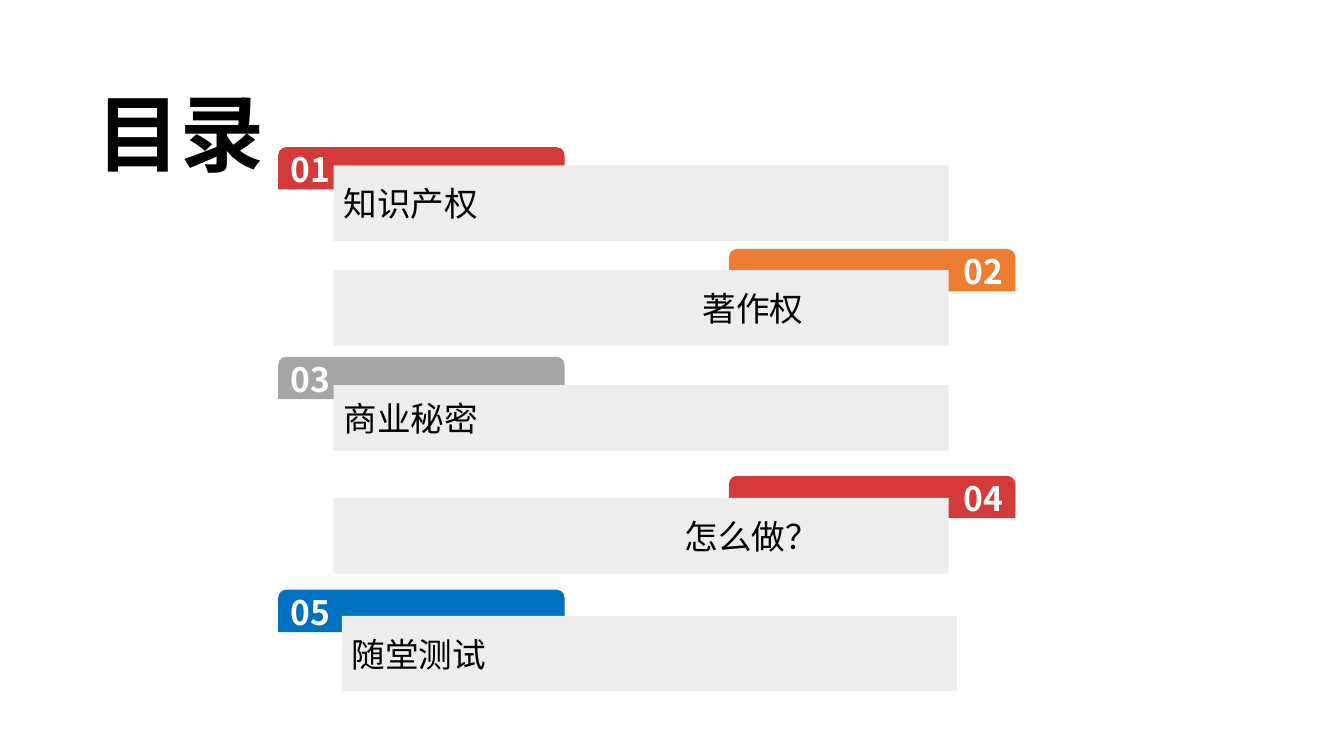
"""Build a contents slide with five numbered, alternating entries."""
from dataclasses import dataclass

from lxml.etree import SubElement
from pptx import Presentation
from pptx.dml.color import RGBColor
from pptx.enum.shapes import MSO_SHAPE as Shape
from pptx.enum.text import MSO_ANCHOR as Anchor, MSO_AUTO_SIZE as AutoSize, PP_ALIGN as Align
from pptx.oxml.ns import qn
from pptx.util import Inches, Pt


@dataclass(frozen=True)
class Theme:
    """Hold the colours, font and type sizes of the slide."""
    font: str = "Noto Sans CJK SC"
    title_size: float = 60
    entry_size: float = 24
    black: str = "000000"
    white: str = "FFFFFF"
    bar: str = "EDEDED"
    red: str = "D53A3A"
    orange: str = "ED7D31"
    grey: str = "A5A5A5"
    blue: str = "0070C0"


@dataclass(frozen=True)
class Entry:
    """Describe one line of the contents."""
    label: str
    color: str
    tab_top: float
    bar_top: float
    bar_left: float = 3.31
    bar_height: float = 0.75
    text_inset: float = 0.1


THEME = Theme()
TAB_WIDTH, TAB_HEIGHT, BAR_WIDTH = 2.84, 0.42, 6.1
TAB_LEFT, TAB_RIGHT = 2.76, 7.23
ENTRIES = (
    Entry("知识产权", THEME.red, 1.46, 1.64),
    Entry("著作权", THEME.orange, 2.47, 2.68, text_inset=3.66),
    Entry("商业秘密", THEME.grey, 3.54, 3.82, bar_height=0.65),
    Entry("怎么做？", THEME.red, 4.72, 4.94, text_inset=3.48),
    Entry("随堂测试", THEME.blue, 5.85, 6.11, bar_left=3.39),
)


def set_all(target, values):
    """Set each named attribute of the target."""
    for name, value in values.items():
        setattr(target, name, value)


def write(box, text, size, color, bold=False, align=Align.LEFT, inset=0.1):
    """Write one formatted line of text into a shape."""
    frame = box.text_frame
    set_all(frame, {
        "word_wrap": True, "auto_size": AutoSize.NONE, "vertical_anchor": Anchor.MIDDLE,
        "margin_left": Inches(inset), "margin_right": Inches(0.1),
        "margin_top": Inches(0.05), "margin_bottom": Inches(0.05),
    })
    para = frame.paragraphs[0]
    para.alignment = align
    span = para.add_run()
    span.text = text
    set_all(span.font, {"name": THEME.font, "size": Pt(size), "bold": bold})
    span.font.color.rgb = RGBColor.from_string(color)
    SubElement(span.font._element, qn("a:ea"), typeface=THEME.font)


def add_block(page, kind, place, color):
    """Add a flat filled shape without an outline."""
    block = page.shapes.add_shape(kind, *map(Inches, place))
    block.shadow.inherit = False
    block.fill.solid()
    block.fill.fore_color.rgb = RGBColor.from_string(color)
    block.line.fill.background()
    return block


def add_title(page, text):
    """Place and format the slide title."""
    title = page.shapes.title
    set_all(title, {"left": Inches(0.86), "top": Inches(0.75),
                    "width": Inches(2.17), "height": Inches(1.11)})
    write(title, text, THEME.title_size, THEME.black, bold=True)


def add_entry(page, number, entry):
    """Add a numbered tab, on alternating sides, and the bar over it."""
    on_left = number % 2 == 1
    tab_left = TAB_LEFT if on_left else TAB_RIGHT
    tab = add_block(page, Shape.ROUND_2_SAME_RECTANGLE,
                    (tab_left, entry.tab_top, TAB_WIDTH, TAB_HEIGHT), entry.color)
    tab.adjustments[0] = 0.19
    write(tab, f"{number:02d}", THEME.entry_size, THEME.white, bold=True,
          align=Align.LEFT if on_left else Align.RIGHT)
    bar = add_block(page, Shape.RECTANGLE,
                    (entry.bar_left, entry.bar_top, BAR_WIDTH, entry.bar_height), THEME.bar)
    write(bar, entry.label, THEME.entry_size, THEME.black, inset=entry.text_inset)


def main():
    """Build and save the deck."""
    deck = Presentation()
    set_all(deck, {"slide_width": Inches(13.33), "slide_height": Inches(7.5)})
    page = deck.slides.add_slide(deck.slide_layouts.get_by_name("Title Only"))
    add_title(page, "目录")
    for number, entry in enumerate(ENTRIES, start=1):
        add_entry(page, number, entry)
    deck.save("out.pptx")


if __name__ == "__main__":
    main()
